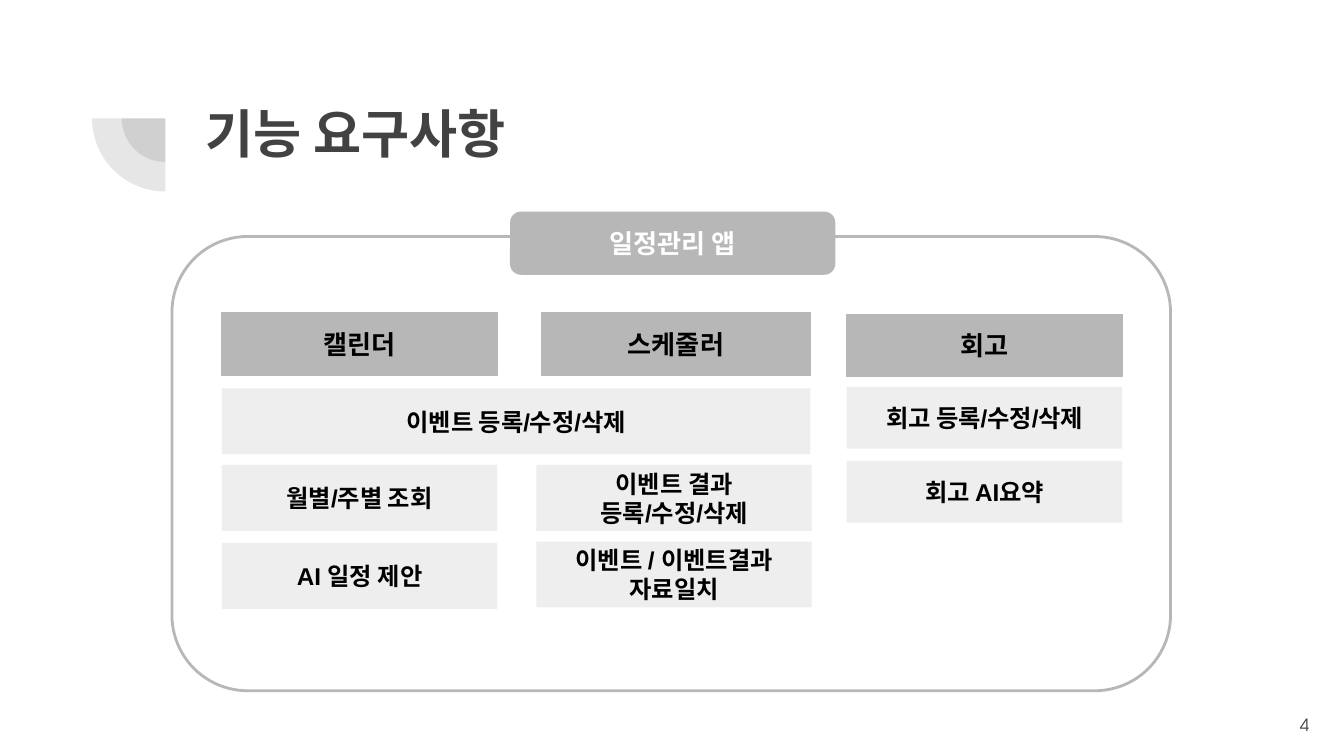
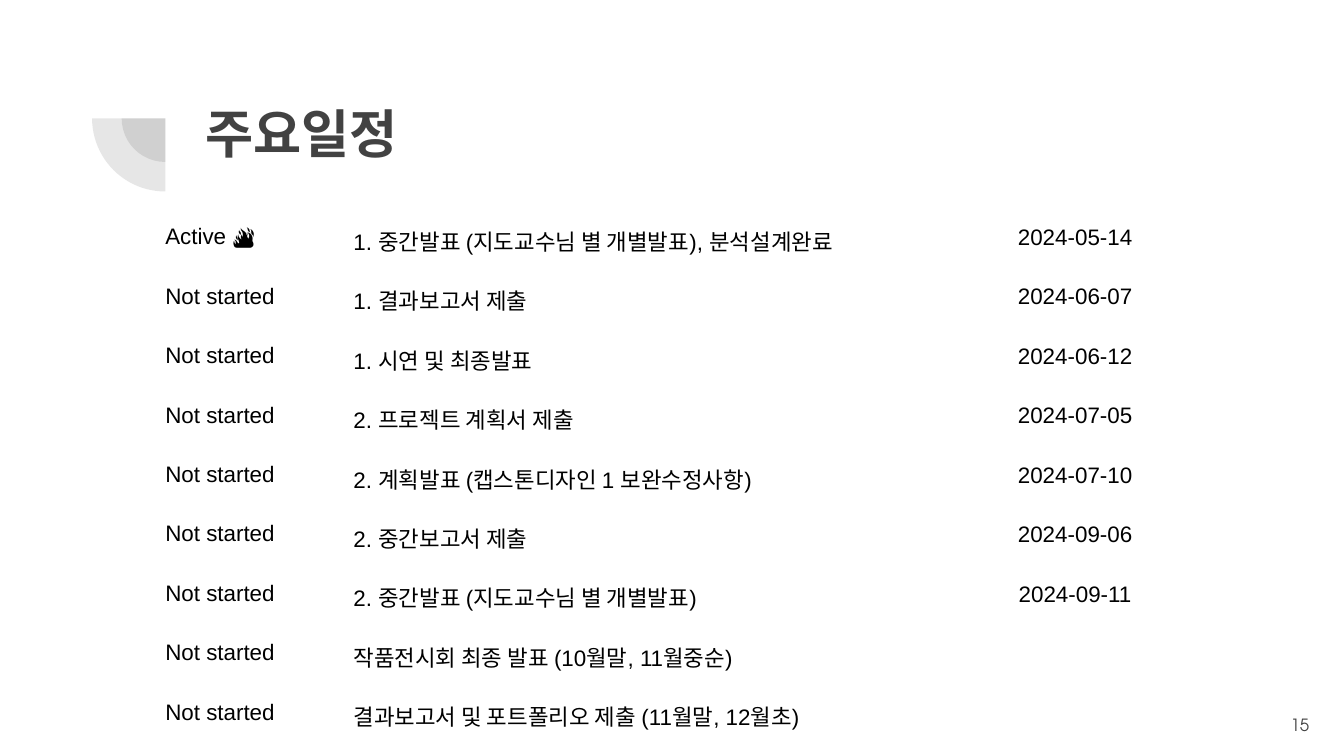
"""Build two slides on a schedule app: its feature requirements and its timeline."""
import pptx
import pptx.dml.color
import pptx.enum.shapes
import pptx.enum.text
import pptx.oxml.ns
import pptx.util
from lxml import etree

Inches = pptx.util.Inches
RGBColor = pptx.dml.color.RGBColor
SHAPE = pptx.enum.shapes.MSO_SHAPE
ALIGN = pptx.enum.text.PP_ALIGN
ANCHOR = pptx.enum.text.MSO_ANCHOR

DARK = RGBColor(0x42, 0x42, 0x42)
GRAY = RGBColor(0xB7, 0xB7, 0xB7)
LIGHT = RGBColor(0xEE, 0xEE, 0xEE)
BLACK = RGBColor(0, 0, 0)
WHITE = RGBColor(0xFF, 0xFF, 0xFF)

TITLE_FONT = "Lato"
BODY_FONT = "Arial"
NUMBER_FONT = "TeX Gyre Adventor"
INSET = Inches(0.1)
ORNAMENT_CENTER = (1.23, 0.88)
ORNAMENT_SIZES = (0.65, 1.09)
ORNAMENT_OPACITY = 13

BOX_WIDTH = 2.05
HEADER_HEIGHT = 0.46
FEATURE_HEIGHT = 0.49
CALENDAR_LEFT, SCHEDULER_LEFT, REVIEW_LEFT = 1.65, 3.99, 6.3

HEADERS = [
    ("캘린더", CALENDAR_LEFT, 2.33, BOX_WIDTH),
    ("스케줄러", 4.03, 2.33, 2),
    ("회고", REVIEW_LEFT, 2.34, BOX_WIDTH),
]
FEATURES = [
    ("이벤트 등록/수정/삭제", CALENDAR_LEFT, 2.89, 4.38, FEATURE_HEIGHT),
    ("월별/주별 조회", CALENDAR_LEFT, 3.46, BOX_WIDTH, FEATURE_HEIGHT),
    ("AI 일정 제안", CALENDAR_LEFT, 4.04, BOX_WIDTH, FEATURE_HEIGHT),
    ("이벤트 결과 등록/수정/삭제", SCHEDULER_LEFT, 3.46, BOX_WIDTH, FEATURE_HEIGHT),
    ("이벤트 / 이벤트결과\n자료일치", SCHEDULER_LEFT, 4.03, BOX_WIDTH, FEATURE_HEIGHT),
    ("회고 등록/수정/삭제", REVIEW_LEFT, 2.88, BOX_WIDTH, HEADER_HEIGHT),
    ("회고 AI요약", REVIEW_LEFT, 3.43, BOX_WIDTH, HEADER_HEIGHT),
]

COLUMN_WIDTHS = (1.4, 4.61, 1.72)
ROW_HEIGHT = 0.44
MILESTONES = [
    ("Active 🔥", "1. 중간발표 (지도교수님 별 개별발표), 분석설계완료", "2024-05-14"),
    ("Not started", "1. 결과보고서 제출", "2024-06-07"),
    ("Not started", "1. 시연 및 최종발표", "2024-06-12"),
    ("Not started", "2. 프로젝트 계획서 제출", "2024-07-05"),
    ("Not started", "2. 계획발표 (캡스톤디자인 1 보완수정사항)", "2024-07-10"),
    ("Not started", "2. 중간보고서 제출", "2024-09-06"),
    ("Not started", "2. 중간발표 (지도교수님 별 개별발표)", "2024-09-11"),
    ("Not started", "작품전시회 최종 발표 (10월말, 11월중순)", ""),
    ("Not started", "결과보고서 및 포트폴리오 제출 (11월말, 12월초)", ""),
]


def write_text(frame, text, size, color=BLACK, font=BODY_FONT, bold=False,
               alignment=ALIGN.LEFT, spacing=None):
    """Write each line of text as a paragraph holding one formatted run."""
    for index, line in enumerate(text.split("\n")):
        paragraph = frame.add_paragraph() if index else frame.paragraphs[0]
        paragraph.alignment = alignment
        if spacing:
            paragraph.line_spacing = spacing
        run = paragraph.add_run()
        run.text = line
        run.font.size = pptx.util.Pt(size)
        run.font.name = font
        run.font.bold = bold
        run.font.color.rgb = color


def set_frame(frame, anchor):
    """Give a text frame the shared insets, wrapping and an anchor."""
    frame.word_wrap = True
    frame.auto_size = pptx.enum.text.MSO_AUTO_SIZE.NONE
    frame.vertical_anchor = anchor
    frame.margin_left = frame.margin_right = INSET
    frame.margin_top = frame.margin_bottom = INSET


def add_plain_shape(slide, kind, box, fill=None, line=None, line_width=0.75):
    """Add a shadowless preset shape with an optional fill and outline."""
    shape = slide.shapes.add_shape(kind, *map(Inches, box))
    shape.shadow.inherit = False
    if fill is None:
        shape.fill.background()
    else:
        shape.fill.solid()
        shape.fill.fore_color.rgb = fill
    if line is None:
        shape.line.fill.background()
    else:
        shape.line.color.rgb = line
        shape.line.width = pptx.util.Pt(line_width)
    return shape


def add_label(slide, kind, box, text, size, fill, line=None, color=BLACK):
    """Add a filled shape with bold centred text."""
    shape = add_plain_shape(slide, kind, box, fill, line)
    set_frame(shape.text_frame, ANCHOR.MIDDLE)
    write_text(shape.text_frame, text, size, color, bold=True, alignment=ALIGN.CENTER)


def add_ornament(slide):
    """Add the two translucent quarter circles beside the title."""
    center_x, center_y = ORNAMENT_CENTER
    for size in ORNAMENT_SIZES:
        box = (center_x - size / 2, center_y - size / 2, size, size)
        shape = add_plain_shape(slide, SHAPE.PIE, box, DARK)
        shape.rotation = 270
        shape.adjustments[0] = 107.93
        shape.adjustments[1] = 162
        for color in shape.element.iter(pptx.oxml.ns.qn("a:srgbClr")):
            alpha = etree.SubElement(color, pptx.oxml.ns.qn("a:alpha"))
            alpha.set("val", str(ORNAMENT_OPACITY * 1000))


def add_titled_slide(presentation, title, number):
    """Add a slide with the shared ornament, title and page number."""
    slide = presentation.slides.add_slide(presentation.slide_layouts[5])
    add_ornament(slide)
    placeholder = slide.shapes.title
    placeholder.left, placeholder.top = Inches(1.43), Inches(0.65)
    placeholder.width, placeholder.height = Inches(7.69), Inches(1.09)
    set_frame(placeholder.text_frame, ANCHOR.TOP)
    write_text(placeholder.text_frame, title, 28, DARK, TITLE_FONT, bold=True)
    page = slide.shapes.add_textbox(*map(Inches, (9.24, 5.18, 0.6, 0.43)))
    set_frame(page.text_frame, ANCHOR.MIDDLE)
    write_text(page.text_frame, number, 9, DARK, NUMBER_FONT, alignment=ALIGN.RIGHT)
    return slide


def add_feature_map(slide):
    """Add the app frame with its column headers and feature boxes."""
    add_plain_shape(slide, SHAPE.FLOWCHART_ALTERNATE_PROCESS,
                    (1.28, 1.76, 7.43, 3.38), line=GRAY, line_width=1.5)
    add_label(slide, SHAPE.ROUNDED_RECTANGLE, (3.8, 1.58, 2.41, HEADER_HEIGHT),
              "일정관리 앱", 14, GRAY, GRAY, WHITE)
    for text, left, top, width in HEADERS:
        add_label(slide, SHAPE.RECTANGLE, (left, top, width, HEADER_HEIGHT),
                  text, 14, GRAY, GRAY)
    for text, *box in FEATURES:
        add_label(slide, SHAPE.RECTANGLE, box, text, 13, LIGHT)


def add_timeline(slide):
    """Add the unfilled table of states, milestones and dates."""
    frame = slide.shapes.add_table(
        len(MILESTONES), len(COLUMN_WIDTHS), Inches(1.13), Inches(1.57),
        Inches(sum(COLUMN_WIDTHS)), Inches(ROW_HEIGHT * len(MILESTONES)))
    table = frame.table
    table.first_row = table.horz_banding = False
    for column, width in zip(table.columns, COLUMN_WIDTHS):
        column.width = Inches(width)
    for row, milestone in zip(table.rows, MILESTONES):
        row.height = Inches(ROW_HEIGHT)
        for index, (cell, text) in enumerate(zip(row.cells, milestone)):
            cell.fill.background()
            if not text:
                continue
            cell.margin_left = cell.margin_right = INSET
            cell.margin_top = cell.margin_bottom = INSET
            is_date = index == 2
            write_text(cell.text_frame, text, 12,
                       alignment=ALIGN.CENTER if is_date else ALIGN.LEFT,
                       spacing=1.03 if is_date else None)


def main():
    """Build both slides and save the presentation."""
    presentation = pptx.Presentation()
    presentation.slide_width = Inches(10)
    presentation.slide_height = Inches(10 * 9 / 16)
    add_feature_map(add_titled_slide(presentation, "기능 요구사항", "4"))
    add_timeline(add_titled_slide(presentation, "주요일정", "15"))
    presentation.save("out.pptx")


if __name__ == "__main__":
    main()
